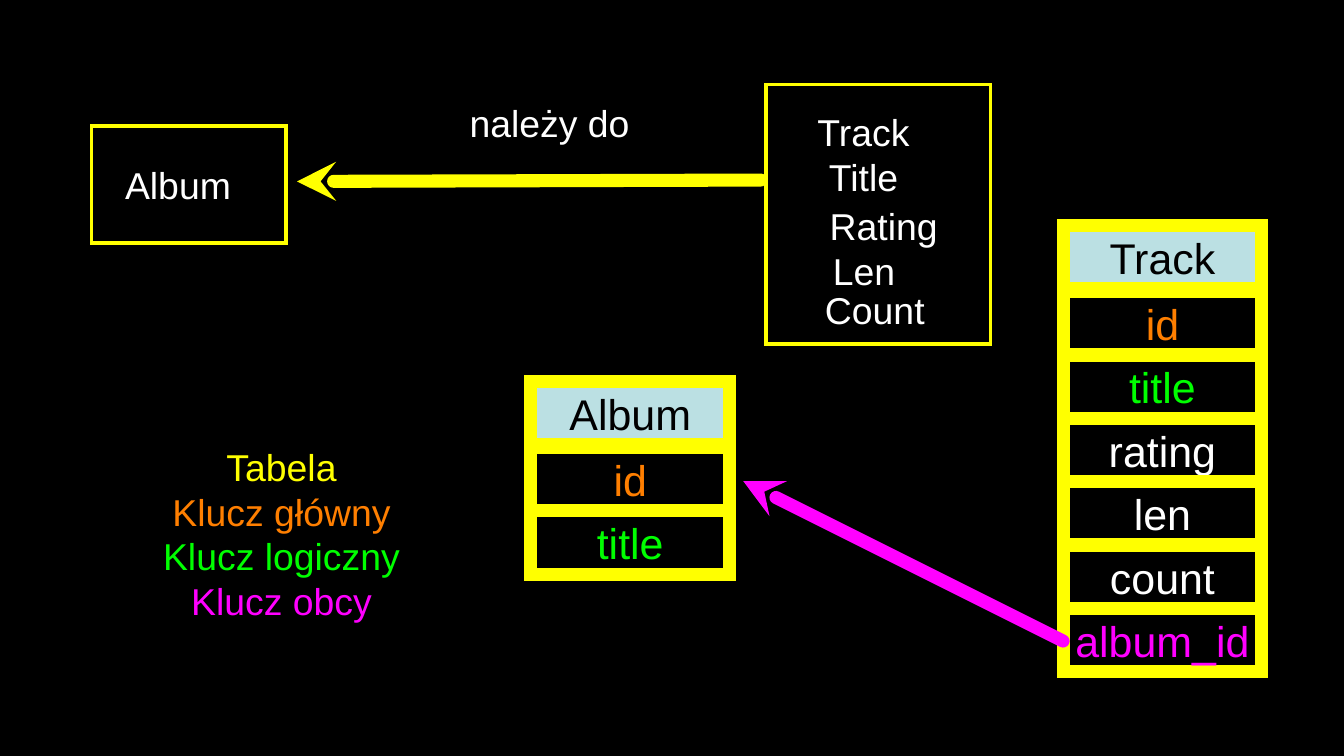
from dataclasses import dataclass

from lxml.etree import SubElement
from pptx import Presentation
from pptx.dml.color import RGBColor
from pptx.enum.shapes import MSO_CONNECTOR, MSO_SHAPE
from pptx.enum.text import MSO_ANCHOR, PP_ALIGN
from pptx.oxml.ns import qn
from pptx.util import Inches, Pt


@dataclass(frozen=True)
class Theme:
    font: str = "Arial"
    black: str = "000000"
    white: str = "FFFFFF"
    yellow: str = "FFFF00"
    orange: str = "FF7F00"
    green: str = "00FF00"
    pink: str = "FF00FF"
    pale: str = "BBE0E3"
    label: int = 20
    cell: int = 23
    thin: int = 2
    thick: int = 7


THEME = Theme()


def rgb(code):
    return RGBColor.from_string(code)


def write(shape, lines, size):
    """Fill a shape with centred (text, colour) paragraphs."""
    frame = shape.text_frame
    frame.word_wrap = True
    frame.vertical_anchor = MSO_ANCHOR.MIDDLE
    frame.margin_left = frame.margin_right = 0
    frame.margin_top = frame.margin_bottom = 0
    for i, (text, color) in enumerate(lines):
        para = frame.add_paragraph() if i else frame.paragraphs[0]
        para.alignment = PP_ALIGN.CENTER
        run = para.add_run()
        run.text = text
        run.font.name = THEME.font
        run.font.size = Pt(size)
        run.font.color.rgb = rgb(color)


def label(slide, box, *lines):
    shape = slide.shapes.add_textbox(*map(Inches, box))
    write(shape, lines, THEME.label)


def frame(slide, box, width, fill=None):
    shape = slide.shapes.add_shape(MSO_SHAPE.RECTANGLE, *map(Inches, box))
    shape.shadow.inherit = False
    if fill:
        shape.fill.solid()
        shape.fill.fore_color.rgb = rgb(fill)
    else:
        shape.fill.background()
    shape.line.color.rgb = rgb(THEME.yellow)
    shape.line.width = Pt(width)
    SubElement(shape.line._get_or_add_ln(), qn("a:miter"), lim="800000")
    return shape


def table(slide, left, top, name, rows):
    """Stack a header cell and one cell for each column of the table."""
    wide, high, head, step = 1.48, 0.47, 0.49, 2.36 / 5
    cell = frame(slide, (left, top, wide, high), THEME.thick, THEME.pale)
    write(cell, [(name, THEME.black)], THEME.cell)
    for i, row in enumerate(rows):
        box = (left, top + head + i * step, wide, high)
        write(frame(slide, box, THEME.thick), [row], THEME.cell)


def arrow(slide, tip, tail, color):
    line = slide.shapes.add_connector(
        MSO_CONNECTOR.STRAIGHT, *map(Inches, tip + tail))
    line.line.color.rgb = rgb(color)
    line.line.width = Pt(THEME.thick)
    ln = line.line._get_or_add_ln()
    ln.set("cap", "rnd")
    SubElement(ln, qn("a:round"))
    SubElement(ln, qn("a:headEnd"), type="stealth")
    SubElement(line._element.spPr, qn("a:effectLst"))


def main():
    # Wide slide, 16 to 9
    deck = Presentation()
    deck.slide_width = Inches(10)
    deck.slide_height = Inches(10 * 9 / 16)
    slide = deck.slides.add_slide(deck.slide_layouts[6])
    slide.background.fill.solid()
    slide.background.fill.fore_color.rgb = rgb(THEME.black)

    # Logical model: two entities and their relation
    frame(slide, (5.7, 0.63, 1.67, 1.93), THEME.thin)
    frame(slide, (0.68, 0.94, 1.45, 0.87), THEME.thin)
    arrow(slide, (2.21, 1.35), (5.66, 1.34), THEME.yellow)
    for text, left, top, wide in (
        ("Album", 0.84, 1.18, 0.97),
        ("należy do", 3.31, 0.72, 1.56),
        ("Track", 6.0, 0.79, 0.85),
        ("Title", 6.05, 1.12, 0.75),
        ("Rating", 6.08, 1.49, 0.99),
        ("Len", 6.11, 1.82, 0.64),
        ("Count", 6.11, 2.11, 0.8),
    ):
        label(slide, (left, top, wide, 0.38), (text, THEME.white))

    # Database tables and the foreign key
    keys = [("id", THEME.orange), ("title", THEME.green)]
    data = [(name, THEME.white) for name in ("rating", "len", "count")]
    table(slide, 3.95, 2.84, "Album", keys)
    table(slide, 7.91, 1.68, "Track",
          keys + data + [("album_id", THEME.pink)])
    arrow(slide, (5.53, 3.58), (7.91, 4.77), THEME.pink)

    # Colour legend
    label(slide, (1.12, 3.3, 1.95, 1.34),
          ("Tabela", THEME.yellow),
          ("Klucz główny", THEME.orange),
          ("Klucz logiczny", THEME.green),
          ("Klucz obcy", THEME.pink))

    deck.save("out.pptx")


if __name__ == "__main__":
    main()
